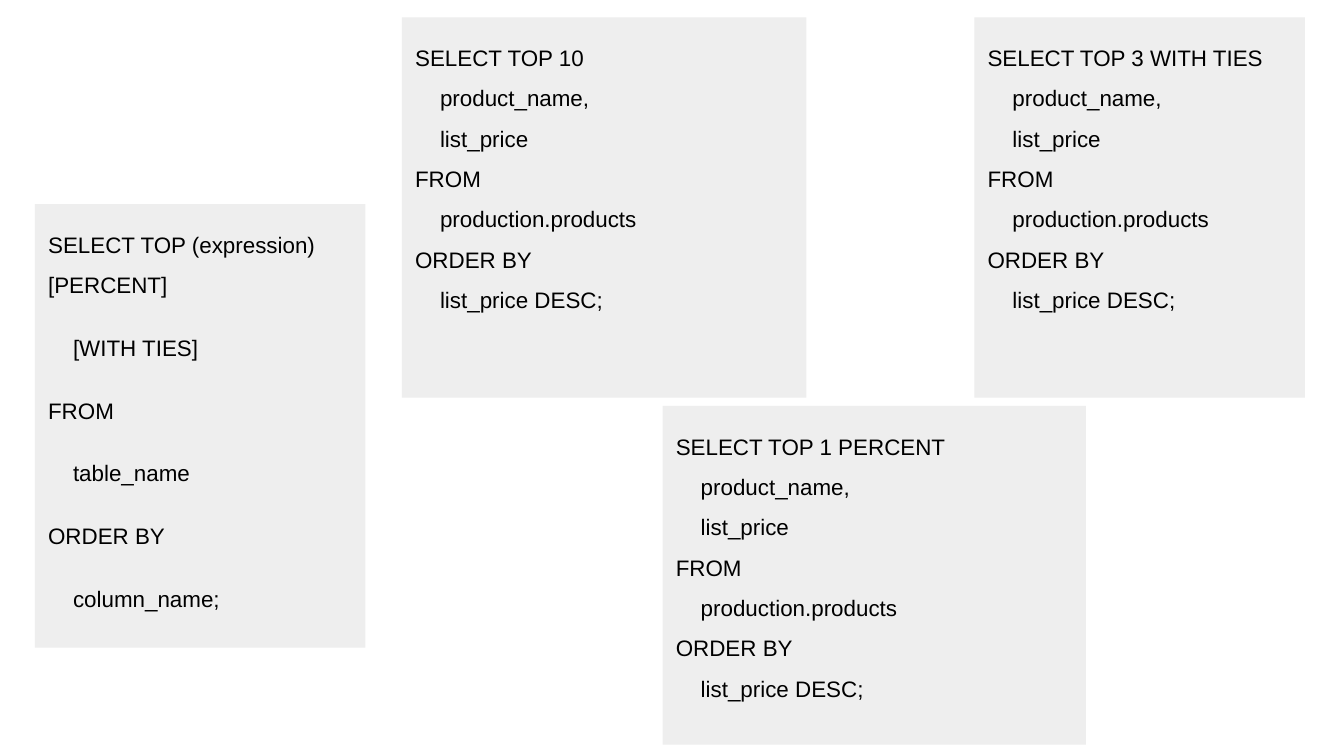
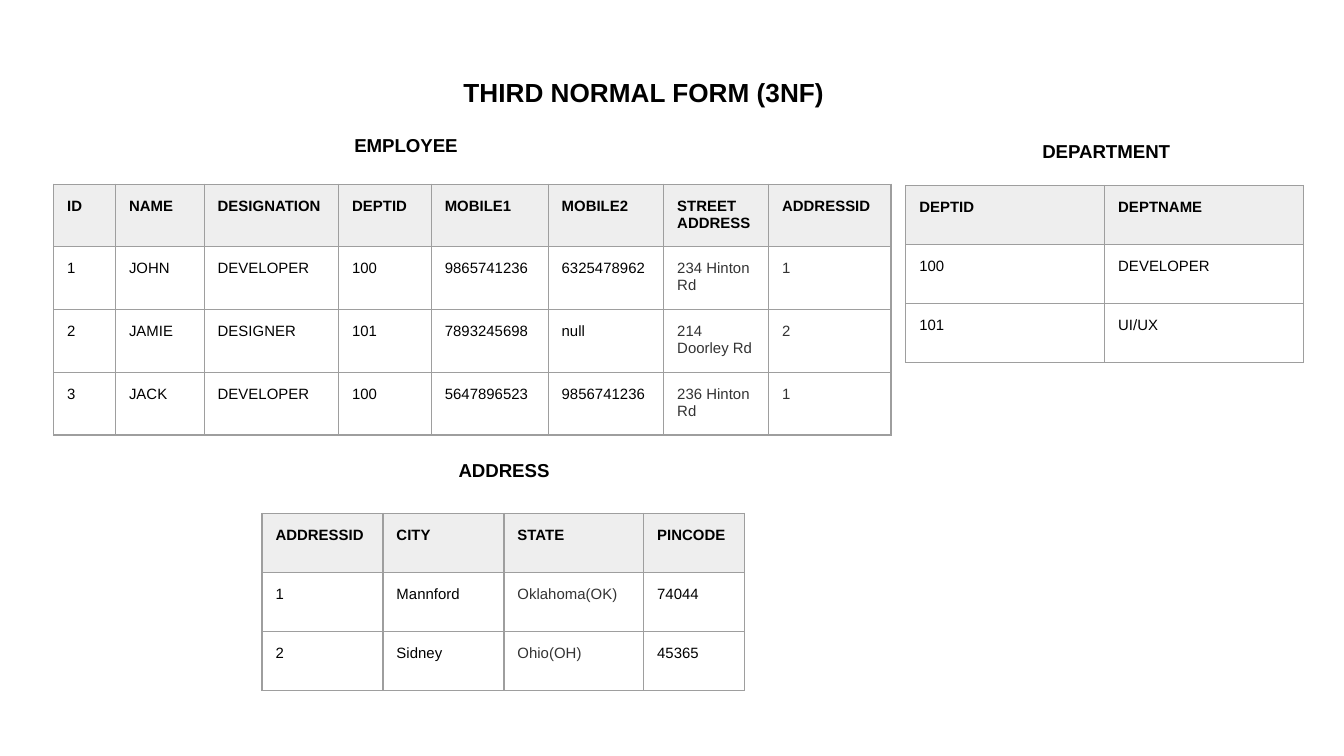
from dataclasses import dataclass

from lxml import etree
from pptx import Presentation
from pptx.dml.color import RGBColor
from pptx.enum.shapes import MSO_SHAPE
from pptx.enum.text import MSO_ANCHOR, PP_ALIGN
from pptx.oxml.ns import qn
from pptx.util import Inches, Pt

RECTANGLE = MSO_SHAPE.RECTANGLE
TOP = MSO_ANCHOR.TOP
LEFT, CENTER = PP_ALIGN.LEFT, PP_ALIGN.CENTER


@dataclass(frozen=True)
class Theme:
    font: str = "Arial"
    ink: str = "000000"
    muted: str = "333333"
    panel: str = "EEEEEE"
    border: str = "9E9E9E"
    border_width: float = 0.75
    title_size: int = 14
    code_size: int = 12
    label_size: int = 10
    cell_size: int = 8
    inset: float = 0.1
    code_indent: float = 13.34  # points


THEME = Theme()
SLIDE_WIDTH = Inches(10)
SLIDE_HEIGHT = SLIDE_WIDTH * 9 // 16

# Content: code lines are (indent level, text)
SYNTAX = [
    (0, "SELECT TOP (expression) [PERCENT]"),
    (1, "[WITH TIES]"),
    (0, "FROM"),
    (1, "table_name"),
    (0, "ORDER BY"),
    (1, "column_name;"),
]
QUERY_BODY = [
    (1, "product_name,"),
    (1, "list_price"),
    (0, "FROM"),
    (1, "production.products"),
    (0, "ORDER BY"),
    (1, "list_price DESC;"),
]

# Code panels: position, lines, space between paragraphs
CODE_PANELS = [
    ((0.26, 1.52, 2.46, 3.3), SYNTAX, 12),
    ((2.99, 0.13, 3.01, 2.83), [(0, "SELECT TOP 10")] + QUERY_BODY, 0),
    ((4.93, 3.02, 3.15, 2.52), [(0, "SELECT TOP 1 PERCENT")] + QUERY_BODY, 0),
    ((7.25, 0.13, 2.46, 2.83), [(0, "SELECT TOP 3 WITH TIES")] + QUERY_BODY, 0),
]

TITLE = ("THIRD NORMAL FORM (3NF)", (1.64, 0.47, 6.3, 0.44))
LABEL_SIZE = (1.78, 0.37)
TABLE_FRAME = (3.28, 3.28)
TABLES = [
    {
        "name": "EMPLOYEE",
        "label_at": (2.13, 0.91),
        "at": (0.4, 1.37),
        "columns": [0.46, 0.66, 1, 0.69, 0.87, 0.86, 0.78, 0.91],
        "row_height": 0.42,
        "muted_columns": {6, 7},
        "rows": [
            ("ID", "NAME", "DESIGNATION", "DEPTID", "MOBILE1", "MOBILE2",
             "STREET ADDRESS", "ADDRESSID"),
            ("1", "JOHN", "DEVELOPER", "100", "9865741236", "6325478962",
             "234 Hinton Rd", "1"),
            ("2", "JAMIE", "DESIGNER", "101", "7893245698", "null",
             "214 Doorley Rd", "2"),
            ("3", "JACK", "DEVELOPER", "100", "5647896523", "9856741236",
             "236 Hinton Rd", "1"),
        ],
    },
    {
        "name": "DEPARTMENT",
        "label_at": (7.34, 0.96),
        "at": (6.74, 1.38),
        "columns": [1.48, 1.48],
        "row_height": 0.44,
        "muted_columns": set(),
        "rows": [("DEPTID", "DEPTNAME"), ("100", "DEVELOPER"), ("101", "UI/UX")],
    },
    {
        "name": "ADDRESS",
        "label_at": (2.86, 3.33),
        "at": (1.95, 3.82),
        "columns": [0.9, 0.9, 1.04, 0.75],
        "row_height": 0.44,
        "muted_columns": {2},
        "rows": [
            ("ADDRESSID", "CITY", "STATE", "PINCODE"),
            ("1", "Mannford", "Oklahoma(OK)", "74044"),
            ("2", "Sidney", "Ohio(OH)", "45365"),
        ],
    },
]


# Shared helpers
def set_format(target, values):
    for name, value in values.items():
        setattr(target, name, value)


def set_margins(target):
    sides = ("margin_left", "margin_top", "margin_right", "margin_bottom")
    set_format(target, dict.fromkeys(sides, Inches(THEME.inset)))


def write(paragraph, text, size, color=THEME.ink, bold=False, **layout):
    run = paragraph.add_run()
    run.text = text
    set_format(run.font, {"name": THEME.font, "size": Pt(size), "bold": bold})
    run.font.color.rgb = RGBColor.from_string(color)
    set_format(paragraph, layout)


def fill_solid(target, color):
    target.fill.solid()
    target.fill.fore_color.rgb = RGBColor.from_string(color)


def prepare_frame(frame):
    set_format(frame, {"word_wrap": True, "vertical_anchor": TOP})
    set_margins(frame)


def set_borders(cell):
    properties = cell._tc.get_or_add_tcPr()
    for position, side in enumerate(("a:lnL", "a:lnR", "a:lnT", "a:lnB")):
        line = etree.Element(qn(side), w=str(Pt(THEME.border_width)))
        solid = etree.SubElement(line, qn("a:solidFill"))
        etree.SubElement(solid, qn("a:srgbClr"), val=THEME.border)
        properties.insert(position, line)


# Parts of the slides
def add_code_panel(slide, box, lines, gap):
    shape = slide.shapes.add_shape(RECTANGLE, *map(Inches, box))
    shape.shadow.inherit = False
    fill_solid(shape, THEME.panel)
    shape.line.fill.background()
    frame = shape.text_frame
    prepare_frame(frame)
    for index, (level, text) in enumerate(lines):
        paragraph = frame.add_paragraph() if index else frame.paragraphs[0]
        write(paragraph, text, THEME.code_size, alignment=LEFT, line_spacing=1.5,
              space_before=Pt(gap if index else 0))
        indent = Pt(level * THEME.code_indent)
        paragraph._p.get_or_add_pPr().set("marL", str(indent))


def add_heading(slide, text, box, size):
    frame = slide.shapes.add_textbox(*map(Inches, box)).text_frame
    prepare_frame(frame)
    write(frame.paragraphs[0], text, size, bold=True, alignment=CENTER)


def add_data_table(slide, data):
    rows, columns = data["rows"], data["columns"]
    graphic_frame = slide.shapes.add_table(
        len(rows), len(columns), *map(Inches, data["at"] + TABLE_FRAME))
    table = graphic_frame.table
    set_format(table, {"first_row": False, "horz_banding": False})
    for column, width in zip(table.columns, columns):
        column.width = Inches(width)
    for row_index, values in enumerate(rows):
        table.rows[row_index].height = Inches(data["row_height"])
        header = row_index == 0
        for column_index, text in enumerate(values):
            cell = table.cell(row_index, column_index)
            set_margins(cell)
            if header:
                fill_solid(cell, THEME.panel)
            else:
                cell.fill.background()
            muted = not header and column_index in data["muted_columns"]
            write(cell.text_frame.paragraphs[0], text, THEME.cell_size,
                  THEME.muted if muted else THEME.ink, header)
            set_borders(cell)
    # Row and column sizes change the frame, so its size is set last
    set_format(graphic_frame, dict(zip(("width", "height"), map(Inches, TABLE_FRAME))))


def main():
    presentation = Presentation()
    set_format(presentation, {"slide_width": SLIDE_WIDTH, "slide_height": SLIDE_HEIGHT})
    blank = presentation.slide_layouts[6]

    # SELECT TOP queries
    slide = presentation.slides.add_slide(blank)
    for box, lines, gap in CODE_PANELS:
        add_code_panel(slide, box, lines, gap)

    # Third normal form
    slide = presentation.slides.add_slide(blank)
    add_heading(slide, *TITLE, THEME.title_size)
    for data in TABLES:
        add_heading(slide, data["name"], data["label_at"] + LABEL_SIZE, THEME.label_size)
        add_data_table(slide, data)

    presentation.save("out.pptx")


if __name__ == "__main__":
    main()
